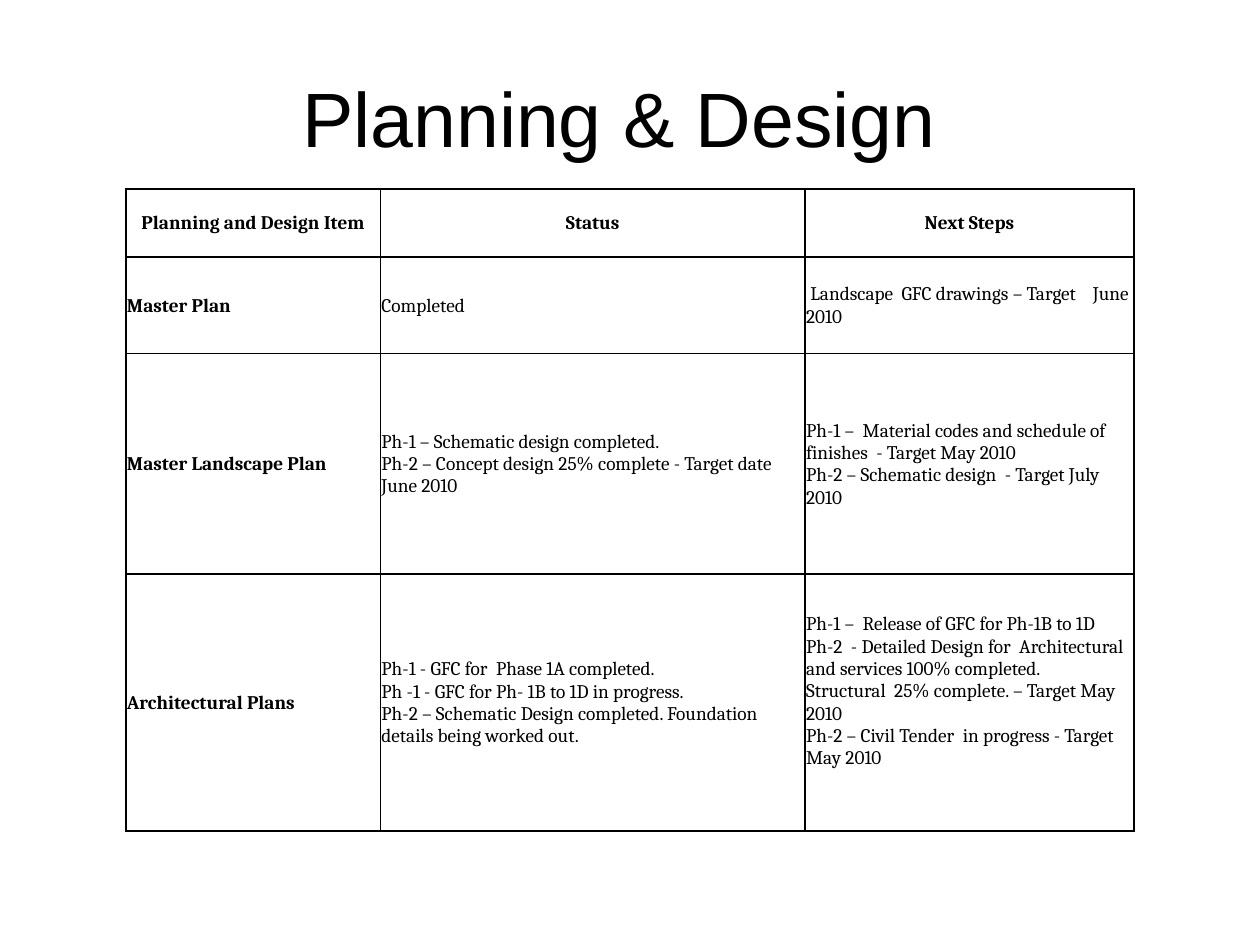
from lxml import etree
from pptx import Presentation
from pptx.dml.color import RGBColor
from pptx.enum import text
from pptx.oxml import ns
from pptx.util import Cm, Pt

COLORS = {"ink": "000000", "paper": "FFFFFF"}
INK = RGBColor.from_string(COLORS["ink"])
COLUMN_WIDTHS = [5.13, 8.56, 6.63]
ROW_HEIGHTS = [1.37, 1.95, 4.44, 5.18]
LINE_HEIGHT = 0.46

# Each cell is a list of paragraphs; \v is a line break inside a paragraph.
ROWS = [
    [["Planning and Design Item"], ["Status"], ["Next Steps"]],
    [["Master Plan"], ["Completed"],
     [" Landscape  GFC drawings – Target    June 2010"]],
    [["Master Landscape Plan"],
     ["Ph-1 – Schematic design completed.",
      "Ph-2 – Concept design 25% complete - Target date June 2010"],
     ["Ph-1 –  Material codes and schedule of finishes  - Target May 2010",
      "Ph-2 – Schematic design  - Target July 2010"]],
    [["Architectural Plans"],
     ["Ph-1 - GFC for  Phase 1A completed.\v"
      "Ph -1 - GFC for Ph- 1B to 1D in progress.\v"
      "Ph-2 – Schematic Design completed. Foundation details being worked out."],
     ["Ph-1 –  Release of GFC for Ph-1B to 1D",
      "Ph-2  - Detailed Design for  Architectural  and services 100% completed.",
      "Structural  25% complete. – Target May 2010",
      "Ph-2 – Civil Tender  in progress - Target May 2010"]],
]


def add_borders(cell):
    props = cell._tc.get_or_add_tcPr()
    for position, side in enumerate(("lnL", "lnR", "lnT", "lnB")):
        line = etree.Element(ns.qn(f"a:{side}"), w=str(Pt(1)))
        fill = etree.SubElement(line, ns.qn("a:solidFill"))
        etree.SubElement(fill, ns.qn("a:srgbClr"), val=COLORS["ink"])
        props.insert(position, line)


deck = Presentation()
deck.slide_width, deck.slide_height = Cm(25.4), Cm(19.05)
page = deck.slides.add_slide(deck.slide_layouts[5])

title = page.shapes.title
title.left, title.top, title.width, title.height = Cm(1.27), Cm(0.76), Cm(22.86), Cm(3.18)
title.text_frame.text = "Planning & Design "
title.text_frame.vertical_anchor = text.MSO_ANCHOR.MIDDLE
para = title.text_frame.paragraphs[0]
para.alignment = text.PP_ALIGN.CENTER
para.font.name, para.font.size = "Arial", Pt(44)
para.font.color.rgb = INK

table = page.shapes.add_table(
    len(ROWS), len(COLUMN_WIDTHS), Cm(2.54), Cm(3.81),
    Cm(sum(COLUMN_WIDTHS)), Cm(sum(ROW_HEIGHTS))).table
table.horz_banding = False
for column, width in zip(table.columns, COLUMN_WIDTHS):
    column.width = Cm(width)
for row, height in zip(table.rows, ROW_HEIGHTS):
    row.height = Cm(height)

for r, row in enumerate(ROWS):
    for c, paragraphs in enumerate(row):
        cell = table.cell(r, c)
        cell.text = "\n".join(paragraphs)
        cell.vertical_anchor = text.MSO_ANCHOR.MIDDLE
        cell.margin_left = cell.margin_right = cell.margin_top = Cm(0.02)
        cell.margin_bottom = Cm(0)
        cell.fill.solid()
        cell.fill.fore_color.rgb = RGBColor.from_string(COLORS["paper"])
        add_borders(cell)
        for para in cell.text_frame.paragraphs:
            para.alignment = text.PP_ALIGN.CENTER if r == 0 else text.PP_ALIGN.LEFT
            para.font.name, para.font.size = "Cambria", Pt(11)
            para.font.bold = r == 0 or c == 0
            para.font.color.rgb = INK

# The last cell sits half a line above the middle.
table.cell(3, 2).margin_bottom = Cm(LINE_HEIGHT)

deck.save("out.pptx")
